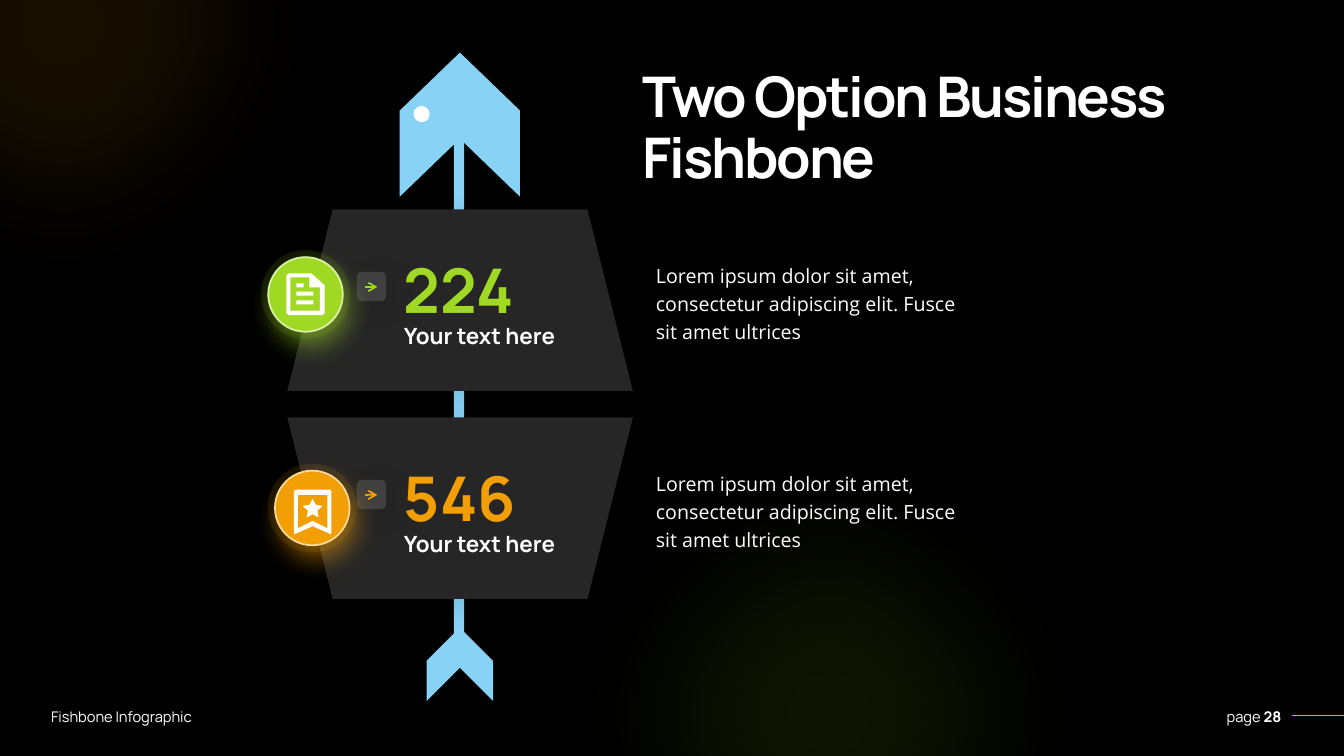
import math

from lxml import etree
from pptx import Presentation
from pptx import util as u
from pptx.dml.color import RGBColor
from pptx.enum import shapes, text
from pptx.oxml.ns import qn

Cm, Pt = u.Cm, u.Pt
KIND = shapes.MSO_SHAPE

THEME = {
    "black": "000000", "white": "FFFFFF", "bone": "87D2F5",
    "panel": "262626", "tile": "404040",
    "green": "9FD923", "green_rim": "D9F1A6",
    "orange": "F29F05", "orange_rim": "FDDA98",
    "head": "Manrope", "body": "Open Sans",
    "title_pt": 40, "number_pt": 44, "label_pt": 16, "body_pt": 14, "footer_pt": 10.5,
    "line_pt": 1.25,
}


def rgb(name):
    return RGBColor.from_string(THEME[name])


def add_shape(kind, x, y, w, h, fill, rim=None, alpha=None, rot=0, soft=None, shadow=None):
    """Centimetres; alpha in percent; soft edge in cm; shadow = colour, alpha, blur, distance, angle."""
    sp = s.shapes.add_shape(kind, Cm(x), Cm(y), Cm(w), Cm(h))
    sp.rotation = rot
    sp.shadow.inherit = False
    sp.fill.solid()
    sp.fill.fore_color.rgb = rgb(fill)
    if rim:
        sp.line.color.rgb = rgb(rim)
        sp.line.width = Pt(THEME["line_pt"])
    else:
        sp.line.fill.background()
    spPr = sp._element.spPr
    if alpha:
        clr = spPr.find(qn("a:solidFill")).find(qn("a:srgbClr"))
        etree.SubElement(clr, qn("a:alpha"), val=str(alpha * 1000))
    effects = spPr.find(qn("a:effectLst"))
    if shadow:
        color, opacity, blur, dist, angle = shadow
        outer = etree.SubElement(effects, qn("a:outerShdw"), blurRad=str(Pt(blur)),
                                 dist=str(Pt(dist)), dir=str(angle * 60000),
                                 algn="ctr", rotWithShape="0")
        clr = etree.SubElement(outer, qn("a:srgbClr"), val=THEME[color])
        etree.SubElement(clr, qn("a:alpha"), val=str(opacity * 1000))
    if soft:
        etree.SubElement(effects, qn("a:softEdge"), rad=str(Cm(soft)))
    return sp


prs = Presentation()
prs.slide_width, prs.slide_height = Cm(33.87), Cm(19.05)
s = prs.slides.add_slide(prs.slide_layouts[6])
s.background.fill.solid()
s.background.fill.fore_color.rgb = rgb("black")

# Background glows
for x, y, color in [(12.29, 9.32, "green"), (-7.06, -8.03, "orange")]:
    add_shape(KIND.OVAL, x, y, 17.25, 17.3, color, alpha=10, soft=3.5)

# Fish: spine, tail, head and eye share one vertical axis
AXIS = 11.59
add_shape(KIND.RECTANGLE, AXIS - 0.15, 2.55, 0.26, 14.15, "bone")
for length, width, middle, adj in [(1.85, 1.68, 16.74, 0.5), (3.63, 3.03, 3.14, 0.482)]:
    sp = add_shape(KIND.CHEVRON, AXIS - length / 2, middle - width / 2, length, width,
                   "bone", rot=270)
    sp.adjustments[0] = adj
add_shape(KIND.OVAL, 10.42, 2.67, 0.41, 0.41, "white")

# Icon outlines, in hundredths of a centimetre from the corner of the badge
document = [
    [(142, 71), (142, 141), (137, 146), (51, 146), (46, 141), (46, 46), (51, 41), (109, 41)],
    [(130, 76), (104, 76), (104, 51), (56, 51), (56, 135), (130, 135)],
]
for top, right in [(66, 89), (87, 114), (109, 114)]:
    document.append([(71, top), (right, top), (right, top + 10), (71, top + 10)])

star = []
for i in range(10):
    radius, angle = (13 if i % 2 else 26), math.radians(36 * i - 90)
    star.append((95 + radius * math.cos(angle), 97 + radius * math.sin(angle)))
bookmark = [
    [(52, 48), (138, 48), (142, 52), (142, 158), (140, 160), (95, 140),
     (50, 160), (48, 158), (48, 52)],
    [(132, 145), (132, 61), (58, 61), (58, 145), (95, 127)],
    star,
]

# Each text: x, y, width, height, runs, format
number = {"size": "number_pt", "font": "head", "bold": True}
label = {"size": "label_pt", "font": "head", "bold": True}
body = {"size": "body_pt", "font": "body", "spacing": 1.2}
title = {"size": "title_pt", "font": "head", "bold": True, "spacing": 0.9, "tracking": -150}
footer = {"size": "footer_pt", "font": "head", "anchor": text.MSO_ANCHOR.MIDDLE}
texts = [
    (15.95, 1.63, 13.72, 3.35, ["Two Option Business Fishbone"], title),
    (1.04, 17.7, 5.87, 0.71, ["Fishbone Infographic"], footer),
    (29.97, 17.7, 2.57, 0.71, ["page ", "28"], {**footer, "align": text.PP_ALIGN.RIGHT}),
]
# Each line: x from, x to, y, colour, has arrowhead
lines = [(32.56, 33.87, 18.03, "orange", False)]

# Options: panel top, rotation, colour, figure, badge corner, icon
options = [
    (5.28, 0, "green", "224", 6.76, 6.48, document),
    (10.52, 180, "orange", "546", 6.93, 11.86, bookmark),
]
dim = ("black", 10, 19, 6, 45)
for top, rot, color, figure, x, y, icon in options:
    add_shape(KIND.TRAPEZOID, 7.24, top, 8.71, 4.57, "panel", rot=rot, shadow=dim)
    add_shape(KIND.ROUNDED_RECTANGLE, 8.99, top + 1.57, 0.74, 0.74, "tile", shadow=dim)
    add_shape(KIND.OVAL, x - 0.18, y - 0.18, 2.24, 2.24, color, alpha=10)
    add_shape(KIND.OVAL, x, y, 1.88, 1.88, color, rim=color + "_rim",
              shadow=(color, 50, 19, 10, 68))

    fb = s.shapes.build_freeform(*icon[0][0], scale=Cm(0.01))
    fb.add_line_segments(icon[0][1:])
    for contour in icon[1:]:
        fb.move_to(*contour[0])
        fb.add_line_segments(contour[1:])
    sp = fb.convert_to_shape(Cm(x), Cm(y))
    sp.shadow.inherit = False
    sp.fill.solid()
    sp.fill.fore_color.rgb = rgb("white")
    sp.line.fill.background()

    lines.append((9.19, 9.51, top + 1.95, color, True))
    texts += [
        (9.93, top + 0.94, 3.61, 2.13, [figure], {**number, "color": color}),
        (9.93, top + 2.72, 5.66, 0.94, ["Your text here"], label),
        (16.28, top + 1.12, 8.1, 2.36, ["Lorem ipsum dolor sit amet, consectetur "
                                        "adipiscing elit. Fusce sit amet ultrices"], body),
    ]

for x1, x2, y, color, arrow in lines:
    cx = s.shapes.add_connector(shapes.MSO_CONNECTOR.STRAIGHT, Cm(x1), Cm(y), Cm(x2), Cm(y))
    cx.line.color.rgb = rgb(color)
    cx.line.width = Pt(THEME["line_pt"])
    if arrow:
        etree.SubElement(cx.line._get_or_add_ln(), qn("a:tailEnd"), type="arrow")
    etree.SubElement(cx._element.spPr, qn("a:effectLst"))

for x, y, w, h, runs, fmt in texts:
    tf = s.shapes.add_textbox(Cm(x), Cm(y), Cm(w), Cm(h)).text_frame
    frame_format = {"word_wrap": True, "auto_size": text.MSO_AUTO_SIZE.SHAPE_TO_FIT_TEXT,
                    "vertical_anchor": fmt.get("anchor", text.MSO_ANCHOR.TOP)}
    for name, value in frame_format.items():
        setattr(tf, name, value)
    p = tf.paragraphs[0]
    p.alignment = fmt.get("align", text.PP_ALIGN.LEFT)
    p.line_spacing = fmt.get("spacing")
    for i, words in enumerate(runs):
        r = p.add_run()
        r.text = words
        font_format = {"name": THEME[fmt["font"]], "size": Pt(THEME[fmt["size"]]),
                       "bold": fmt.get("bold", i > 0)}
        for name, value in font_format.items():
            setattr(r.font, name, value)
        r.font.color.rgb = rgb(fmt.get("color", "white"))
        if "tracking" in fmt:
            r.font._element.set("spc", str(fmt["tracking"]))

prs.save("out.pptx")
